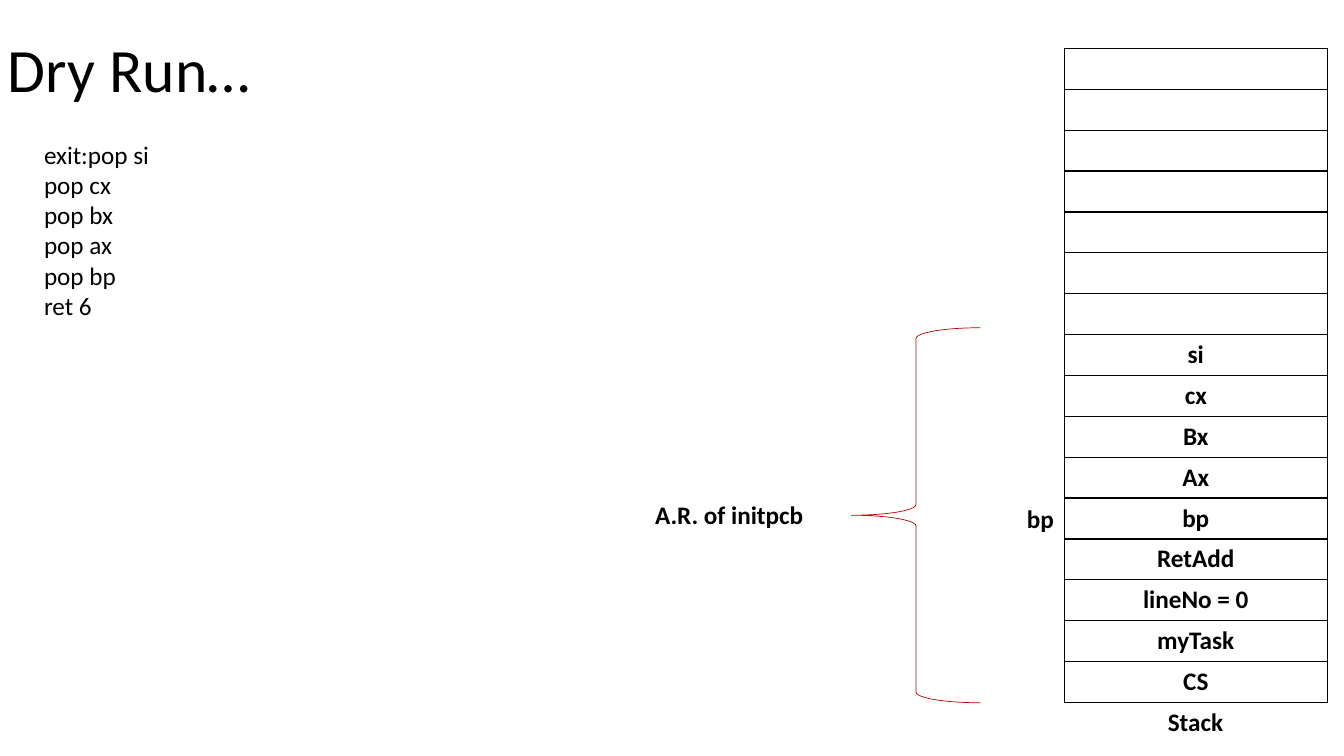
"""Build the dry-run slide: popped registers beside the stack and its activation record."""
from dataclasses import dataclass

from lxml import etree
from pptx import Presentation
from pptx.dml.color import RGBColor
from pptx.enum.shapes import MSO_SHAPE
from pptx.enum.text import MSO_ANCHOR, MSO_AUTO_SIZE, PP_ALIGN
from pptx.oxml.ns import qn
from pptx.slide import Slide
from pptx.table import _Cell
from pptx.text.text import _Paragraph
from pptx.util import Cm, Pt

BRACE = MSO_SHAPE.LEFT_BRACE
MIDDLE = MSO_ANCHOR.MIDDLE
TOP = MSO_ANCHOR.TOP
FIT_SHAPE = MSO_AUTO_SIZE.SHAPE_TO_FIT_TEXT
NO_FIT = MSO_AUTO_SIZE.NONE
CENTER = PP_ALIGN.CENTER

COLORS = {"ink": "000000", "brace": "C00000"}
FONT = "Calibri"
BORDER_WIDTH = Pt(1)
ROW_HEIGHT = 1.03
FREE_SLOTS = 7
STACK = [""] * FREE_SLOTS + [
    "si", "cx", "Bx", "Ax", "bp", "RetAdd", "lineNo = 0", "myTask", "CS",
]


@dataclass(frozen=True)
class Caption:
    lines: tuple[str, ...]
    left: float
    top: float
    width: float
    height: float
    size: int = 18
    bold: bool = True
    is_title: bool = False


CAPTIONS = (
    Caption(("Dry Run…",), -0.05, 0, 29.21, 3.68, size=44, bold=False, is_title=True),
    Caption(
        ("exit:pop si", "pop cx", "pop bx", "pop ax", "pop bp", "ret 6"),
        0.86, 3.38, 3.2, 4.88, bold=False,
    ),
    Caption(("bp",), 25.63, 12.55, 1.19, 1.02),
    Caption(("Stack",), 29.18, 17.68, 1.93, 1.02),
    Caption(("A.R. of initpcb",), 16.26, 12.45, 4.27, 1.02),
)


def add_run(paragraph: _Paragraph, wording: str, size: int, bold: bool) -> None:
    run = paragraph.add_run()
    run.text = wording
    run.font.name = FONT
    run.font.size = Pt(size)
    run.font.bold = bold
    run.font.color.rgb = RGBColor.from_string(COLORS["ink"])


def add_caption(slide: Slide, caption: Caption) -> None:
    frame = slide.shapes.add_textbox(
        Cm(caption.left), Cm(caption.top), Cm(caption.width), Cm(caption.height)
    ).text_frame
    frame.word_wrap = caption.is_title
    frame.auto_size = NO_FIT if caption.is_title else FIT_SHAPE
    frame.vertical_anchor = MIDDLE if caption.is_title else TOP
    for index, line in enumerate(caption.lines):
        paragraph = frame.add_paragraph() if index else frame.paragraphs[0]
        if caption.is_title:
            paragraph.line_spacing = 0.9
        add_run(paragraph, line, caption.size, caption.bold)


def outline_slot(slot: _Cell) -> None:
    properties = slot._tc.get_or_add_tcPr()
    for side in ("a:lnL", "a:lnR", "a:lnT", "a:lnB"):
        border = etree.SubElement(properties, qn(side), w=str(BORDER_WIDTH))
        fill = etree.SubElement(border, qn("a:solidFill"))
        etree.SubElement(fill, qn("a:srgbClr"), val=COLORS["ink"])
    slot.fill.background()


def add_stack(slide: Slide) -> None:
    stack = slide.shapes.add_table(
        len(STACK), 1, Cm(26.82), Cm(1.22), Cm(6.63), Cm(ROW_HEIGHT * len(STACK))
    ).table
    stack.first_row = False
    stack.horz_banding = False
    for index, content in enumerate(STACK):
        stack.rows[index].height = Cm(ROW_HEIGHT)
        slot = stack.cell(index, 0)
        outline_slot(slot)
        paragraph = slot.text_frame.paragraphs[0]
        paragraph.alignment = CENTER
        if content:
            add_run(paragraph, content, 18, True)


def add_record_brace(slide: Slide) -> None:
    brace = slide.shapes.add_shape(BRACE, Cm(21.46), Cm(8.26), Cm(3.25), Cm(9.45))
    brace.shadow.inherit = False
    brace.fill.background()
    brace.line.color.rgb = RGBColor.from_string(COLORS["brace"])
    brace.line.width = Pt(0.5)


def main() -> None:
    deck = Presentation()
    deck.slide_width = Cm(33.87)
    deck.slide_height = Cm(19.05)
    slide = deck.slides.add_slide(deck.slide_layouts[6])
    add_stack(slide)
    add_record_brace(slide)
    for caption in CAPTIONS:
        add_caption(slide, caption)
    deck.save("out.pptx")


if __name__ == "__main__":
    main()
